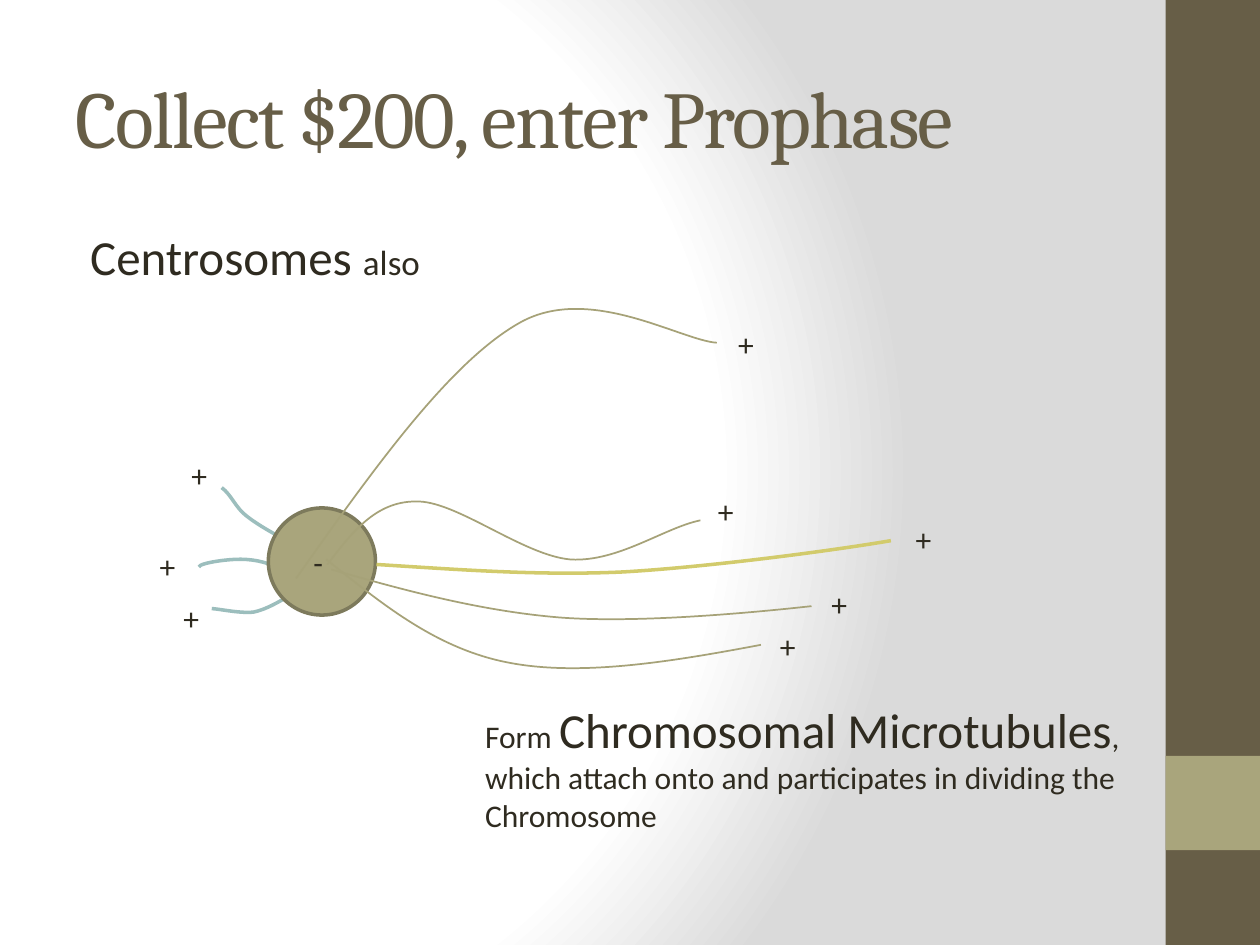
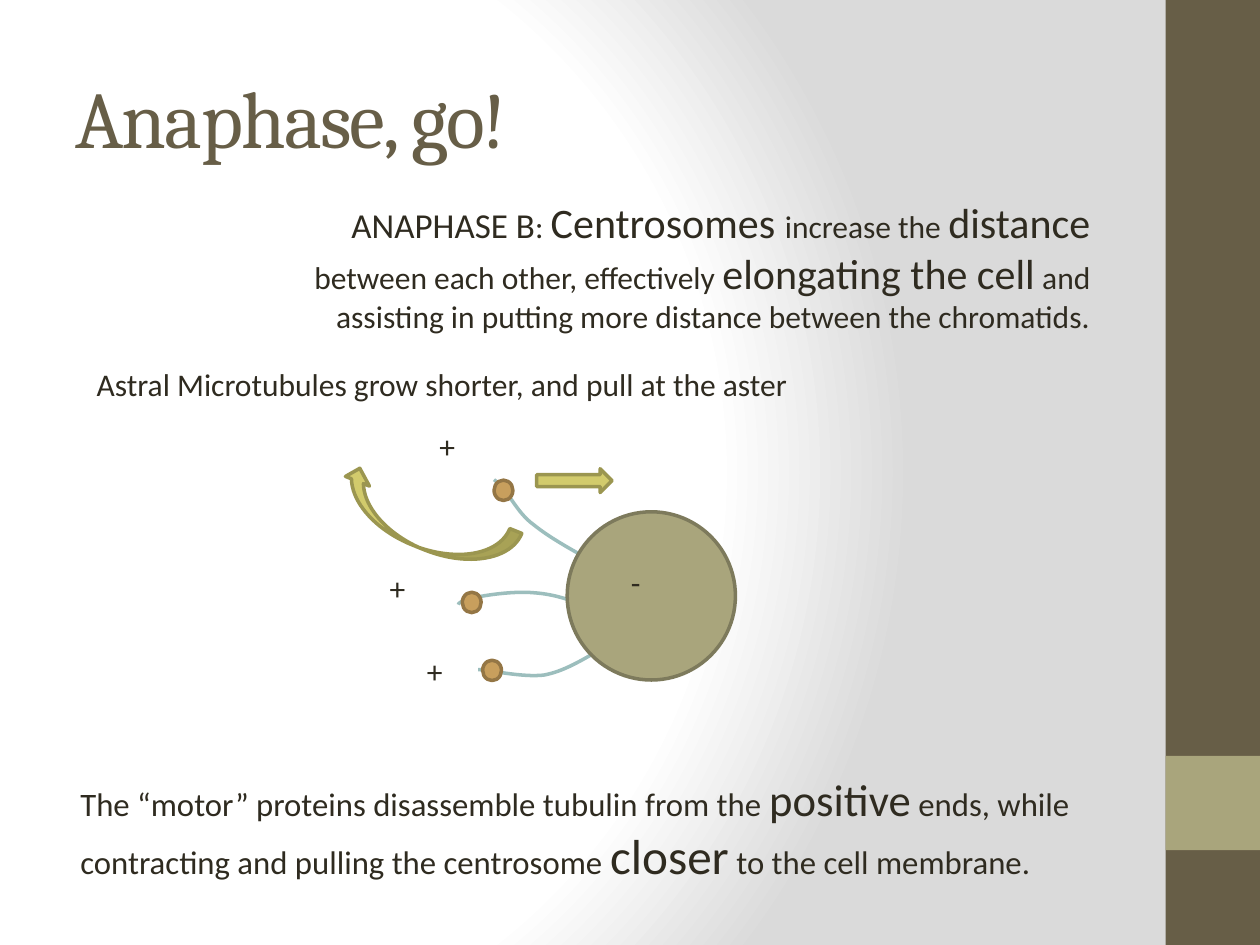
from lxml import etree
from pptx import Presentation, util as u
from pptx.dml.color import RGBColor
from pptx.enum import shapes as sh, text as tx
from pptx.oxml.ns import qn

rgb = RGBColor.from_string
BROWN, OLIVE, OLIVE_EDGE, INK = "675E47", "A9A57C", "7D7A5C", "2F2B20"
TEAL, TUBULE, YELLOW, YELLOW_EDGE = "9CBEBD", "A6A278", "D2CB6C", "9B9650"
MOTOR, MOTOR_EDGE = "C89F5D", "947645"
OVAL = sh.MSO_SHAPE.OVAL
LABEL_W, LABEL_H = 0.84, 1.02

BACKGROUND = """<a:gradFill xmlns:a="http://schemas.openxmlformats.org/drawingml/2006/main" rotWithShape="1">
<a:gsLst><a:gs pos="0"><a:srgbClr val="FFFFFF"/></a:gs><a:gs pos="75000"><a:srgbClr val="FFFFFF"/></a:gs>
<a:gs pos="100000"><a:srgbClr val="DADADA"/></a:gs></a:gsLst>
<a:path path="circle"><a:fillToRect l="20000" t="50000" r="100000" b="50000"/></a:path></a:gradFill>"""

# Curves: a start point, then three points (two controls, one end) per segment, in cm
ASTRAL = [
    [(5.87, 10.95), (5.54, 10.77), (5.21, 10.59), (4.98, 10.41),
     (4.75, 10.24), (4.67, 9.98), (4.47, 9.83)],
    [(5.82, 11.53), (5.54, 11.4), (5.28, 11.3), (4.98, 11.28),
     (4.67, 11.25), (4.01, 11.35), (4.01, 11.43)],
    [(5.87, 11.99), (5.61, 12.14), (5.36, 12.29), (5.11, 12.34),
     (4.83, 12.37), (4.39, 12.27), (4.27, 12.27)],
]
ASTER_LABELS = [("-", 6.07, 10.82), ("+", 3.61, 9.07), ("+", 2.97, 10.9), ("+", 3.45, 11.96)]
MICROTUBULES = [
    (TUBULE, 1, [(5.97, 11.66), (7.52, 9.47), (9.07, 7.29), (10.49, 6.5),
                 (11.89, 5.72), (13.72, 6.86), (14.45, 6.91)]),
    (TUBULE, 1, [(6.6, 11.38), (7.09, 10.74), (7.57, 10.11), (8.38, 10.11),
                 (9.19, 10.08), (10.54, 11.2), (11.51, 11.28),
                 (12.47, 11.33), (13.39, 10.64), (14.12, 10.49)]),
    (TUBULE, 1, [(6.58, 11.28), (7.7, 12.17), (8.79, 13.08), (10.26, 13.36),
                 (11.71, 13.64), (13.54, 13.34), (15.34, 13)]),
    (TUBULE, 1, [(6.68, 11.48), (8.18, 11.91), (9.7, 12.32), (11.3, 12.45),
                 (12.9, 12.57), (15.27, 12.34), (16.36, 12.22)]),
    (YELLOW, 2, [(7.59, 11.38), (9.22, 11.48), (10.85, 11.61), (12.57, 11.53),
                 (14.3, 11.43), (16.79, 11.1), (17.96, 10.9)]),
]
PLUS_ENDS = [(14.63, 6.43), (14.22, 9.8), (16.51, 11.66), (15.47, 12.52), (18.21, 10.36)]

# Each text: box, left inset, alignment, runs of (wording, size)
LEFT, RIGHT = tx.PP_ALIGN.LEFT, tx.PP_ALIGN.RIGHT
PROPHASE_TEXTS = [
    ((1.27, 4.45, 21.16, 13.34), 0.55, LEFT, [("Centrosomes ", 28), ("also", 20)]),
    ((9.53, 13.97, 13.77, 3), 0.25, LEFT, [
        ("Form ", 18), ("Chromosomal Microtubules", 28),
        (", which attach onto and participates in dividing the Chromosome", 18)]),
] + [((x, y, LABEL_W, LABEL_H), 0.25, LEFT, [("+", 18)]) for x, y in PLUS_ENDS]
ANAPHASE_TEXTS = [
    ((1.07, 15.44, 21.16, 2.34), 0.55, LEFT, [
        ("The “motor” proteins disassemble tubulin from the ", 18.7), ("positive", 25.5),
        (" ends, while contracting and pulling the centrosome ", 18.7), ("closer", 28.1),
        (" to the cell membrane.", 18.7)]),
    ((1.7, 7.24, 14.81, 1.02), 0.25, LEFT,
     [("Astral Microtubules grow shorter, and pull at the aster", 18)]),
    ((4.88, 3.84, 17.35, 3.07), 0.25, RIGHT, [
        ("ANAPHASE B", 20), (": ", 18), ("Centrosomes ", 24), ("increase the ", 18),
        ("distance", 24), (" between each other, effectively ", 18),
        ("elongating the cell", 24),
        (" and assisting in putting more distance between the chromatids.", 18)]),
]

# Each preset shape: kind, box, rotation, fill, line
ANAPHASE_SHAPES = [
    (OVAL, (x, y, 0.38, 0.41), 0, MOTOR, MOTOR_EDGE)
    for x, y in [(9.96, 9.68), (9.32, 11.94), (9.73, 13.31)]
] + [
    (sh.MSO_SHAPE.RIGHT_ARROW, (10.82, 9.45, 1.52, 0.48), 0, YELLOW, YELLOW_EDGE),
    (sh.MSO_SHAPE.CURVED_DOWN_ARROW, (6.68, 10.01, 3.78, 1.04), 201.9, YELLOW, YELLOW_EDGE),
]

# Title, aster scale and offset, microtubules, preset shapes, texts
SLIDES = [
    ("Collect $200, enter Prophase", 1, 0, 0, MICROTUBULES, [], PROPHASE_TEXTS),
    ("Anaphase, go!", 1.57, 2.94, -5.76, [], ANAPHASE_SHAPES, ANAPHASE_TEXTS),
]


def add_preset(shapes, kind, box, fill, line=None):
    sp = shapes.add_shape(kind, *map(u.Cm, box))
    sp.shadow.inherit = False
    sp.fill.solid()
    sp.fill.fore_color.rgb = rgb(fill)
    if line:
        sp.line.color.rgb = rgb(line)
        sp.line.width = u.Pt(2)
    else:
        sp.line.fill.background()
    return sp


def add_curve(shapes, points, colour, width):
    """Draw a freeform and turn every three straight steps into one Bézier segment."""
    start, *rest = [(x * 100, y * 100) for x, y in points]
    fb = shapes.build_freeform(*start, scale=u.Cm(0.01))
    fb.add_line_segments(rest, close=False)
    sp = fb.convert_to_shape()
    steps = list(sp._element.iter(qn("a:lnTo")))
    for i in range(0, len(steps), 3):
        bezier = etree.Element(qn("a:cubicBezTo"))
        steps[i].addprevious(bezier)
        for step in steps[i:i + 3]:
            bezier.append(step[0])
            step.getparent().remove(step)
    sp.shadow.inherit = False
    sp.fill.background()
    sp.line.color.rgb = rgb(colour)
    sp.line.width = u.Pt(width)


prs = Presentation()
prs.slide_width, prs.slide_height = u.Cm(25.4), u.Cm(19.05)

for title, k, dx, dy, tubules, presets, texts in SLIDES:
    s = prs.slides.add_slide(prs.slide_layouts[6])
    s.background.fill.gradient()
    grad = next(s._element.iter(qn("a:gradFill")))
    grad.getparent().replace(grad, etree.fromstring(BACKGROUND))

    for top, height, colour in [(0, 19.05, BROWN), (15.24, 1.9, OLIVE)]:
        add_preset(s.shapes, sh.MSO_SHAPE.RECTANGLE, (23.5, top, 1.9, height), colour)

    aster = s.shapes.add_group_shape().shapes
    for points in ASTRAL:
        add_curve(aster, [(x * k + dx, y * k + dy) for x, y in points], TEAL, 2)
    add_preset(aster, OVAL, (5.41 * k + dx, 10.24 * k + dy, 2.16 * k, 2.16 * k), OLIVE, OLIVE_EDGE)

    for colour, width, points in tubules:
        add_curve(s.shapes, points, colour, width)
    for kind, box, rotation, fill, line in presets:
        add_preset(s.shapes, kind, box, fill, line).rotation = rotation

    boxes = [(aster, (x * k + dx, y * k + dy, LABEL_W * k, LABEL_H * k), 0.25, LEFT, [(sign, 18)])
             for sign, x, y in ASTER_LABELS]
    boxes += [(s.shapes, *entry) for entry in texts]
    for shapes, box, inset, align, runs in boxes:
        tf = shapes.add_textbox(*map(u.Cm, box)).text_frame
        tf.word_wrap = True
        tf.margin_left = u.Cm(inset)
        p = tf.paragraphs[0]
        p.alignment = align
        for wording, size in runs:
            r = p.add_run()
            r.text = wording
            r.font.name, r.font.size = "Calibri", u.Pt(size)
            r.font.color.rgb = rgb(INK)

    tf = s.shapes.add_textbox(*map(u.Cm, (1.27, 0.76, 21.16, 3.18))).text_frame
    tf.word_wrap = True
    tf.vertical_anchor = tx.MSO_ANCHOR.MIDDLE
    tf.text = title
    r = tf.paragraphs[0].runs[0]
    r.font.name, r.font.size = "Cambria", u.Pt(46)
    r.font.color.rgb = rgb(BROWN)
    r._r.get_or_add_rPr().set("spc", "-100")

prs.save("out.pptx")
